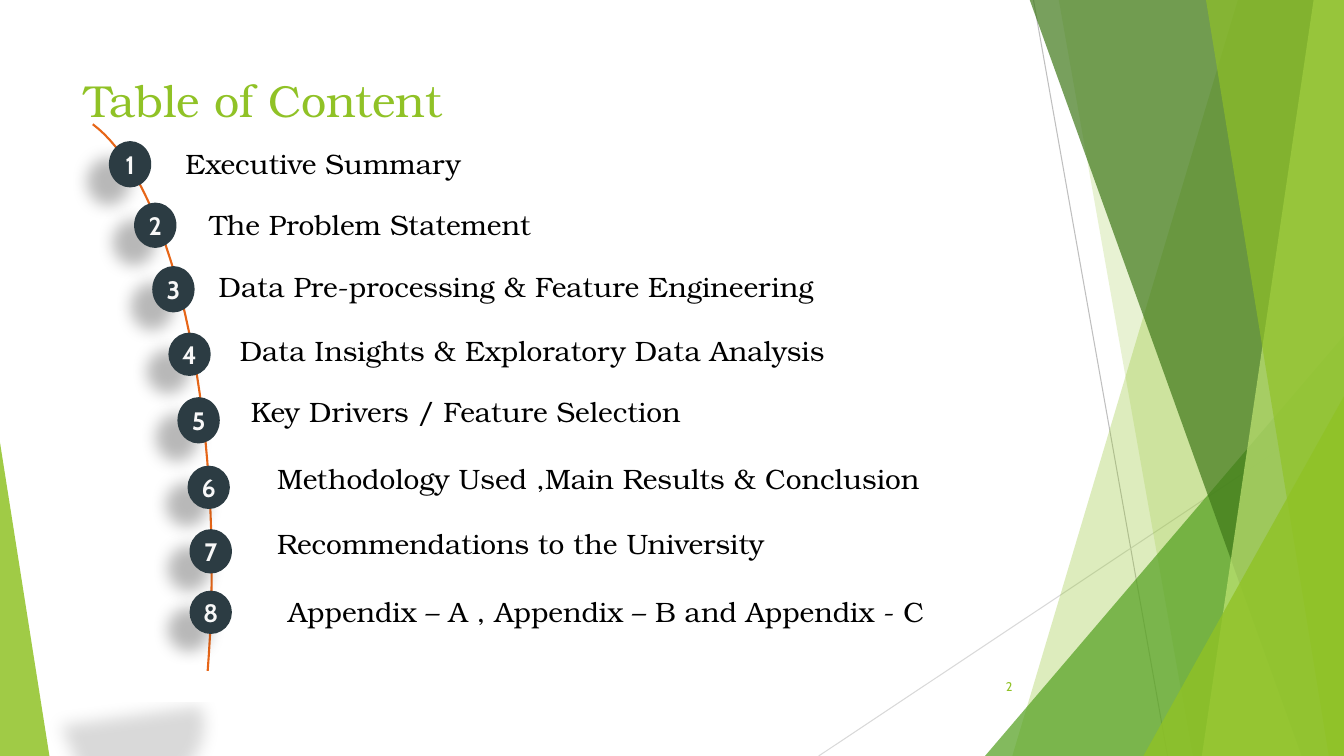
"""Build the table of content slide with its numbered arc and green facets."""
from dataclasses import dataclass
from math import cos, radians, sin
from typing import NamedTuple

from lxml.etree import SubElement
from pptx import Presentation
from pptx.dml.color import RGBColor
from pptx.enum.shapes import MSO_CONNECTOR as Connector, MSO_SHAPE as Preset
from pptx.enum.text import MSO_ANCHOR as Anchor, PP_ALIGN as Align
from pptx.oxml.ns import qn
from pptx.shapes.autoshape import Shape
from pptx.slide import Slide
from pptx.text.text import TextFrame
from pptx.util import Inches, Pt


@dataclass(frozen=True)
class Theme:
    serif: str = "TeX Gyre Bonum"
    sans: str = "Cabin"
    green: str = "90C226"
    leaf: str = "54A021"
    forest: str = "3F7819"
    lime: str = "C0E474"
    orange: str = "E76618"
    slate: str = "2C3C43"
    pale: str = "F8F8F8"
    white: str = "FFFFFF"
    black: str = "000000"
    title_size: int = 32
    item_size: int = 20
    number_size: int = 18
    page_size: int = 9


class Facet(NamedTuple):
    top_x: float
    bottom_x: float
    color: str
    opacity: int


class Wedge(NamedTuple):
    left: float
    top: float
    width: float
    apex: float
    color: str
    opacity: int


class Ray(NamedTuple):
    start: tuple[float, float]
    end: tuple[float, float]
    color: str


class Shadow(NamedTuple):
    opacity: int
    blur: float
    distance: float
    angle: int
    scale: tuple[int, int] = (100, 100)


class Entry(NamedTuple):
    text: str
    text_left: float
    text_top: float
    text_width: float
    badge_left: float
    badge_top: float
    badge_height: float


THEME = Theme()
WIDTH, HEIGHT, FACET_TOP = 13.33, 7.5, -0.01
BADGE_WIDTH, ITEM_HEIGHT = 0.42, 0.44
ARC_CENTER, ARC_RADII = (0.53, 5.64), (1.57, 4.55)
ARC_START, ARC_END, ARC_STEPS = -75.6, 12.9, 40
BADGE_SHADOW = Shadow(28, 11.8, 19.7, 141)
ARC_SHADOW = Shadow(15, 12, 25, 90, (90, -19))

RAYS = [
    Ray((10.25, 0), (11.58, HEIGHT), "BFBFBF"),
    Ray((WIDTH, 4.03), (8.12, HEIGHT), "D9D9D9"),
]
BACKDROP = [
    Facet(12.28, 10.04, THEME.green, 30),
    Facet(10.5, 11.83, THEME.green, 20),
    Wedge(9.77, 3.33, 3.56, 1, THEME.leaf, 72),
    Facet(10.21, 12.91, THEME.forest, 70),
    Facet(13.03, 11.92, THEME.lime, 70),
    Facet(11.96, 13.18, THEME.green, 65),
    Wedge(11.34, 3.93, 1.99, 1, THEME.green, 80),
    Wedge(0, 4.39, 0.49, 0, THEME.green, 85),
]
ENTRIES = [
    Entry("Executive Summary", 1.74, 1.4, 3.56, 1.08, 1.4, 0.46),
    Entry("The Problem Statement", 1.98, 2.01, 4.52, 1.33, 2.01, 0.45),
    Entry("Data Pre-processing & Feature Engineering", 2.07, 2.62, 8.07, 1.51, 2.64, 0.46),
    Entry("Data Insights & Exploratory Data Analysis", 2.28, 3.26, 8.07, 1.67, 3.3, 0.43),
    Entry("Key Drivers / Feature Selection", 2.39, 3.86, 4.72, 1.76, 3.94, 0.46),
    Entry("Methodology Used ,Main Results & Conclusion", 2.65, 4.53, 6.75, 1.86, 4.62, 0.43),
    Entry("Recommendations to the University", 2.65, 5.17, 5.09, 1.88, 5.25, 0.44),
    Entry("Appendix – A , Appendix – B and Appendix - C", 2.76, 5.85, 6.55, 1.88, 5.86, 0.43),
]


def paint(shape: Shape, color: str, opacity: int = 100) -> None:
    shape.shadow.inherit = False
    shape.line.fill.background()
    shape.fill.solid()
    shape.fill.fore_color.rgb = RGBColor.from_string(color)
    if opacity < 100:
        tint = shape._element.spPr.find(qn("a:solidFill"))[0]
        SubElement(tint, qn("a:alpha"), val=str(opacity * 1000))


def cast(shape: Shape, shadow: Shadow) -> None:
    effects = shape._element.spPr.find(qn("a:effectLst"))
    outer = SubElement(
        effects, qn("a:outerShdw"), blurRad=str(Pt(shadow.blur)),
        dist=str(Pt(shadow.distance)), dir=str(shadow.angle * 60000),
        sx=str(shadow.scale[0] * 1000), sy=str(shadow.scale[1] * 1000),
        algn="b", rotWithShape="0")
    tint = SubElement(outer, qn("a:srgbClr"), val=THEME.black)
    SubElement(tint, qn("a:alpha"), val=str(shadow.opacity * 1000))


def write(frame: TextFrame, text: str, size: int, face: str, color: str,
          align: Align = Align.LEFT, anchor: Anchor = Anchor.TOP) -> None:
    frame.word_wrap = True
    frame.vertical_anchor = anchor
    para = frame.paragraphs[0]
    para.text = text
    para.alignment = align
    para.font.size = Pt(size)
    para.font.name = face
    para.font.color.rgb = RGBColor.from_string(color)


def outline(page: Slide, points: list[tuple[float, float]], close: bool = True) -> Shape:
    corners = [(Inches(x), Inches(y)) for x, y in points]
    builder = page.shapes.build_freeform(*corners[0])
    builder.add_line_segments(corners[1:], close=close)
    return builder.convert_to_shape()


def draw_ray(page: Slide, ray: Ray) -> None:
    line = page.shapes.add_connector(
        Connector.STRAIGHT, *(Inches(value) for value in ray.start + ray.end))
    line.line.width = Pt(0.75)
    line.line.color.rgb = RGBColor.from_string(ray.color)
    SubElement(line._element.spPr, qn("a:effectLst"))


def draw_backdrop(page: Slide, piece: Facet | Wedge) -> None:
    if isinstance(piece, Facet):
        shape = outline(page, [(piece.top_x, FACET_TOP), (WIDTH, FACET_TOP),
                               (WIDTH, HEIGHT), (piece.bottom_x, HEIGHT)])
    else:
        shape = page.shapes.add_shape(
            Preset.ISOSCELES_TRIANGLE, Inches(piece.left), Inches(piece.top),
            Inches(piece.width), Inches(HEIGHT - piece.top))
        shape.adjustments[0] = piece.apex
    paint(shape, piece.color, piece.opacity)


def draw_arc(page: Slide) -> None:
    step = (ARC_END - ARC_START) / ARC_STEPS
    angles = [radians(ARC_START + step * index) for index in range(ARC_STEPS + 1)]
    points = [(ARC_CENTER[0] + ARC_RADII[0] * cos(angle),
               ARC_CENTER[1] + ARC_RADII[1] * sin(angle)) for angle in angles]
    sector = outline(page, points + [ARC_CENTER])
    paint(sector, THEME.white)
    cast(sector, ARC_SHADOW)
    curve = outline(page, points, close=False)
    curve.shadow.inherit = False
    curve.fill.background()
    curve.line.width = Pt(1.5)
    curve.line.color.rgb = RGBColor.from_string(THEME.orange)


def draw_badge(page: Slide, number: int, entry: Entry) -> None:
    badge = page.shapes.add_shape(
        Preset.OVAL, Inches(entry.badge_left), Inches(entry.badge_top),
        Inches(BADGE_WIDTH), Inches(entry.badge_height))
    paint(badge, THEME.slate)
    cast(badge, BADGE_SHADOW)
    frame = badge.text_frame
    write(frame, str(number), THEME.number_size, THEME.sans, THEME.pale,
          Align.CENTER, Anchor.MIDDLE)
    frame.word_wrap = False
    frame.paragraphs[0].font.bold = True


def add_box(page: Slide, left: float, top: float, width: float, height: float) -> TextFrame:
    return page.shapes.add_textbox(
        Inches(left), Inches(top), Inches(width), Inches(height)).text_frame


def main() -> None:
    deck = Presentation()
    deck.slide_width, deck.slide_height = Inches(WIDTH), Inches(HEIGHT)
    page = deck.slides.add_slide(deck.slide_layouts[5])
    for ray in RAYS:
        draw_ray(page, ray)
    for piece in BACKDROP:
        draw_backdrop(page, piece)
    title = page.shapes.title
    title.left, title.top = Inches(0.74), Inches(0.67)
    title.width, title.height = Inches(9.4), Inches(0.69)
    write(title.text_frame, "Table of Content", THEME.title_size, THEME.serif, THEME.green)
    draw_arc(page)
    for number, entry in enumerate(ENTRIES, 1):
        draw_badge(page, number, entry)
        frame = add_box(page, entry.text_left, entry.text_top, entry.text_width, ITEM_HEIGHT)
        write(frame, entry.text, THEME.item_size, THEME.serif, THEME.black)
    write(add_box(page, 9.39, 6.61, 0.75, 0.4), "2", THEME.page_size, THEME.sans,
          THEME.green, Align.RIGHT, Anchor.MIDDLE)
    deck.save("out.pptx")


if __name__ == "__main__":
    main()
